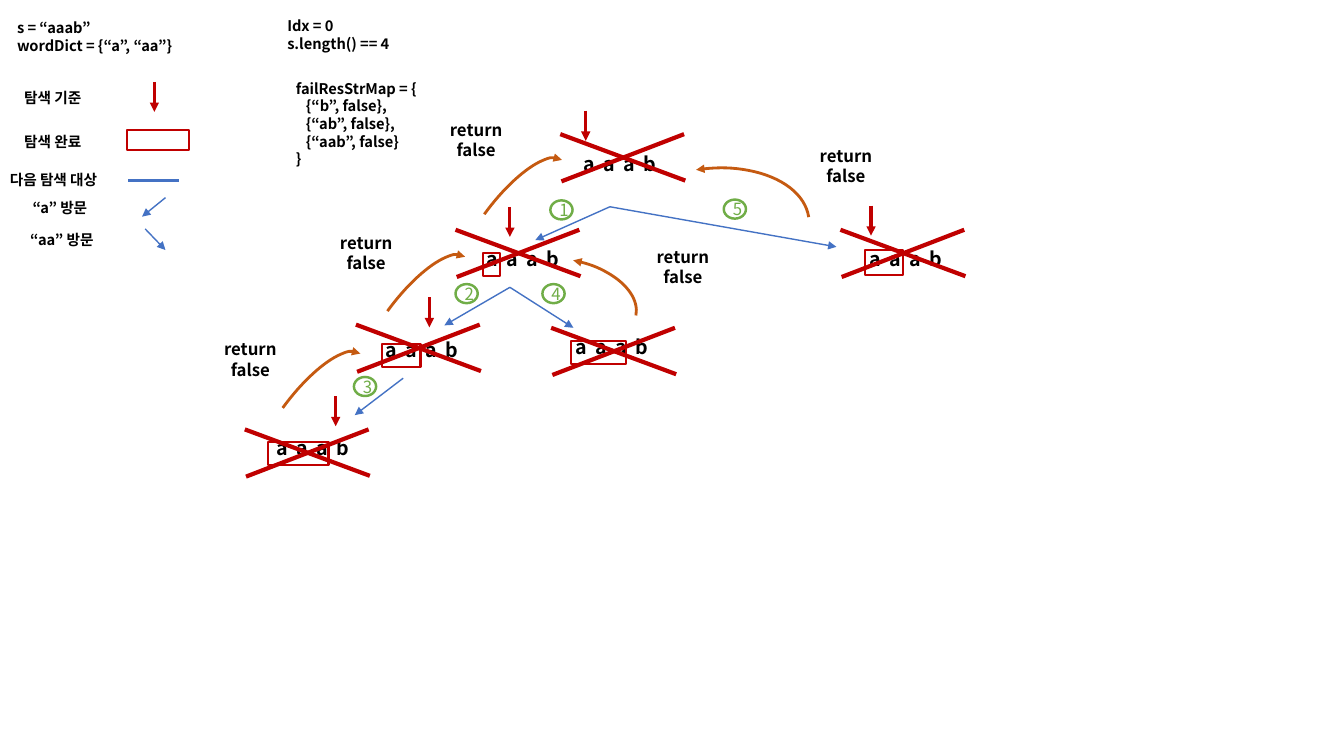
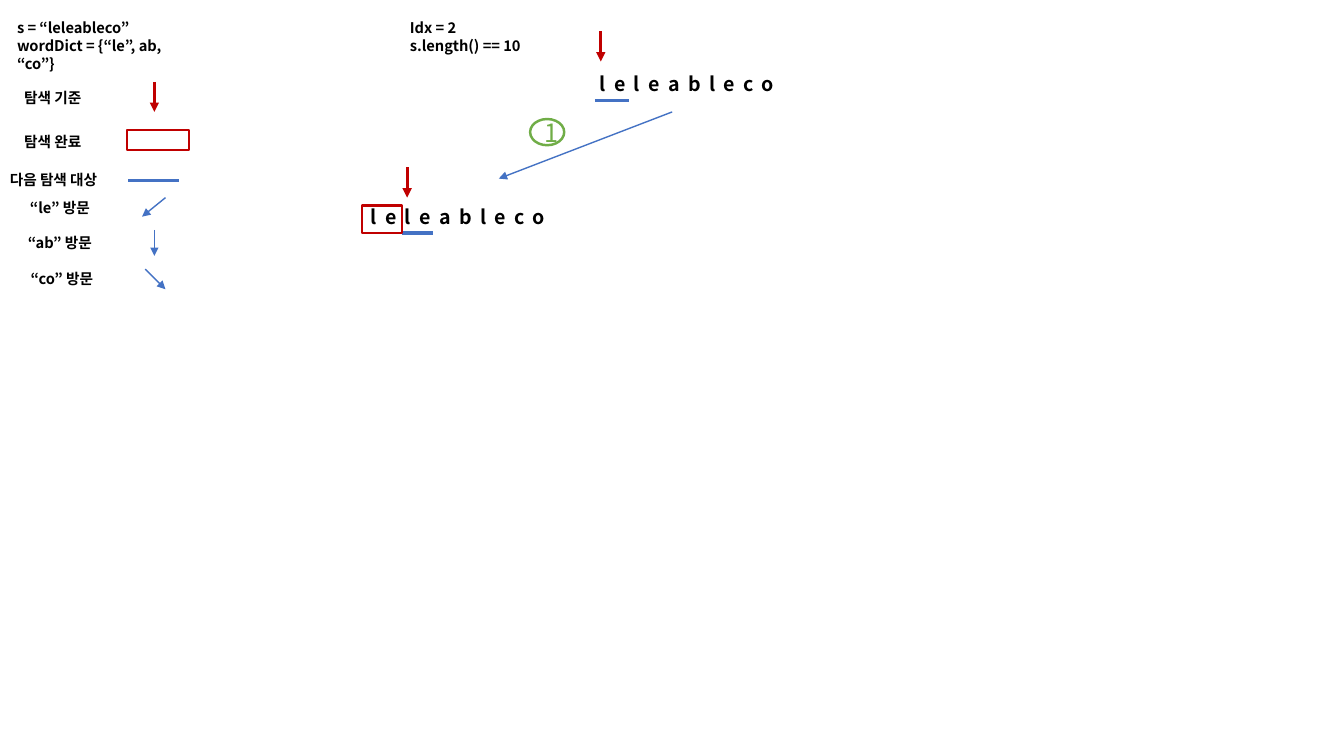
from lxml import etree
from pptx import Presentation
from pptx.dml.color import RGBColor
from pptx.enum.shapes import MSO_CONNECTOR, MSO_SHAPE
from pptx.enum.text import MSO_ANCHOR, PP_ALIGN
from pptx.oxml.ns import qn
from pptx.util import Cm, Pt

RECTANGLE, OVAL, ARC = MSO_SHAPE.RECTANGLE, MSO_SHAPE.OVAL, MSO_SHAPE.ARC
STRAIGHT = MSO_CONNECTOR.STRAIGHT
LEFT, CENTER = PP_ALIGN.LEFT, PP_ALIGN.CENTER
TOP, MIDDLE = MSO_ANCHOR.TOP, MSO_ANCHOR.MIDDLE
FONT = "Noto Sans CJK KR"
COLORS = {
    "text": "000000",
    "red": "C00000",
    "blue": "4472C4",
    "green": "70AD47",
    "orange": "C55A11",
    "white": "FFFFFF",
}


def draw(page, area, text="", kind=None, outline=None, width=1.5, size=10.5,
         color="text", bold=True, align=LEFT, anchor=TOP, spacing=0):
    place = [Cm(value) for value in area]
    if kind is None:
        box = page.shapes.add_textbox(*place)
    else:
        box = page.shapes.add_shape(kind, *place)
        box.shadow.inherit = False
        box.fill.background()
        box.line.color.rgb = RGBColor.from_string(COLORS[outline])
        box.line.width = Pt(width)
    if not text:
        return box
    frame = box.text_frame
    frame.word_wrap = True
    frame.vertical_anchor = anchor
    for index, words in enumerate(text.split("\n")):
        para = frame.paragraphs[0] if index == 0 else frame.add_paragraph()
        para.alignment = align
        para.line_spacing = Pt(size * 1.2)
        if words.startswith("\t"):
            properties = para._p.get_or_add_pPr()
            properties.set("marL", str(Cm(0.25)))
            properties.set("indent", "0")
        span = para.add_run()
        span.text = words.lstrip("\t")
        span.font.name = FONT
        span.font.size = Pt(size)
        span.font.bold = bold
        span.font.color.rgb = RGBColor.from_string(COLORS[color])
        format_xml = span._r.get_or_add_rPr()
        etree.SubElement(format_xml, qn("a:ea")).set("typeface", FONT)
        if spacing:
            format_xml.set("spc", str(spacing * 100))
    return box


def connect(page, start, end, color="blue", width=1, arrow=True):
    line = page.shapes.add_connector(STRAIGHT, *[Cm(value) for value in (*start, *end)])
    line.line.color.rgb = RGBColor.from_string(COLORS[color])
    line.line.width = Pt(width)
    if arrow:
        outline = line.line._get_or_add_ln()
        etree.SubElement(outline, qn("a:tailEnd")).set("type", "triangle")
    etree.SubElement(line._element.spPr, qn("a:effectLst"))


STRING = dict(size=14, spacing=6)
NUMBER = dict(kind=OVAL, outline="green", width=1.75, color="green", bold=False,
              align=CENTER, anchor=MIDDLE)
RETURN = dict(kind=RECTANGLE, outline="white", size=12, align=CENTER, anchor=MIDDLE)
POINTER = dict(color="red", width=2.25)
POINTER_LENGTH = 0.76

deck = Presentation()
deck.slide_width, deck.slide_height = Cm(33.87), Cm(19.05)

down_left = ((4.17, 4.98), (3.58, 5.46))
cases = [
    {
        "input": "s = “aaab”\nwordDict = {“a”, “aa”}",
        "state": "Idx = 0\ns.length() == 4",
        "state_at": (6.99, 0.3),
        "visits": [
            ("“a” 방문", (-0.05, 4.88), down_left),
            ("“aa” 방문", (0, 5.69), ((3.66, 5.77), (4.17, 6.3))),
        ],
    },
    {
        "input": "s = “leleableco”\nwordDict = {“le”, ab, “co”}",
        "state": "Idx = 2\ns.length() == 10",
        "state_at": (10.08, 0.36),
        "visits": [
            ("“le” 방문", (-0.05, 4.88), down_left),
            ("“ab” 방문", (-0.05, 5.77), ((3.89, 5.79), (3.89, 6.45))),
            ("“co” 방문", (0, 6.68), ((3.66, 6.78), (4.17, 7.29))),
        ],
    },
]

pages = []
for case in cases:
    page = deck.slides.add_slide(deck.slide_layouts[6])
    pages.append(page)
    draw(page, (0.18, 0.36, 5.11, 1.19), case["input"])
    draw(page, (*case["state_at"], 5.11, 1.14), case["state"])
    for label, left, top in [("탐색 기준", 0.36, 2.11), ("탐색 완료", 0.36, 3.23),
                             ("다음 탐색 대상", 0, 4.17)]:
        draw(page, (left, top, 3.12, 0.71), label)
    connect(page, (3.89, 2.06), (3.89, 2.06 + POINTER_LENGTH), **POINTER)
    draw(page, (3.2, 3.28, 1.57, 0.51), kind=RECTANGLE, outline="red")
    connect(page, (3.23, 4.55), (4.52, 4.55), width=2.25, arrow=False)
    for label, position, ends in case["visits"]:
        draw(page, (*position, 3.12, 0.71), label, align=CENTER)
        connect(page, *ends)

tree_page, string_page = pages

draw(tree_page, (7.21, 1.88, 5.11, 2.49),
     "failResStrMap = {\n\t{“b”, false},\n\t{“ab”, false},\n\t{“aab”, false}\n}")

nodes = [
    dict(text=(14.45, 3.71), cross=(14.12, 3.38), pointer=(14.76, 2.79)),
    dict(text=(12.01, 6.1), cross=(11.48, 5.79), pointer=(12.85, 5.21),
         done=(12.17, 6.38, 0.43, 0.58)),
    dict(text=(9.47, 8.38), cross=(8.97, 8.18), pointer=(10.82, 7.49),
         done=(9.63, 8.66, 0.97, 0.58)),
    dict(text=(6.71, 10.87), cross=(6.17, 10.82), pointer=(8.46, 9.98),
         done=(6.76, 11.13, 1.52, 0.58)),
    dict(text=(14.25, 8.31), cross=(13.89, 8.26), done=(14.4, 8.59, 1.37, 0.58)),
    dict(text=(21.67, 6.1), cross=(21.18, 5.79), pointer=(21.95, 5.18),
         done=(21.79, 6.3, 0.97, 0.64)),
]
for node in nodes:
    draw(tree_page, (*node["text"], 2.8, 0.86), "aaab", **STRING)
    if "pointer" in node:
        x, y = node["pointer"]
        connect(tree_page, (x, y), (x, y + POINTER_LENGTH), **POINTER)
    if "done" in node:
        draw(tree_page, node["done"], kind=RECTANGLE, outline="red")
    x, y = node["cross"]
    for start, end in [((x, y), (x + 3.15, y + 1.17)), ((x + 0.03, y + 1.19), (x + 3.12, y))]:
        connect(tree_page, start, end, color="red", width=3, arrow=False)

steps = [
    ((15.37, 5.21), (13.49, 6.05), (13.87, 5.05)),
    ((12.85, 7.24), (11.2, 8.2), (11.48, 7.16)),
    ((10.16, 9.53), (8.94, 10.46), (8.92, 9.5)),
    ((12.85, 7.24), (14.45, 8.26), (13.67, 7.16)),
    ((15.37, 5.21), (21.08, 6.22), (18.24, 5.03)),
]
for number, (start, end, circle) in enumerate(steps, 1):
    connect(tree_page, start, end)
    draw(tree_page, (*circle, 0.56, 0.48), str(number), size=12, **NUMBER)

returns = [
    ((5.49, 9.96, 4.52, 1.55), 126.1, ("flipH", "flipV"), (4.9, 8.66)),
    ((8.13, 7.52, 4.52, 1.55), 126.1, ("flipH", "flipV"), (7.82, 5.97)),
    ((10.57, 5.08, 4.52, 1.55), 126.1, ("flipH", "flipV"), (10.59, 3.12)),
    ((13.18, 5.79, 2.13, 3.63), 100.9, ("flipH",), (15.8, 6.32)),
    ((16.18, 3.23, 3.2, 5.26), 81.5, ("flipH",), (19.91, 3.78)),
]
for area, angle, flips, label_at in returns:
    arc = draw(tree_page, area, kind=ARC, outline="orange", width=2)
    arc.rotation = angle
    for flip in flips:
        arc._element.spPr.find(qn("a:xfrm")).set(flip, "1")
    etree.SubElement(arc.line._get_or_add_ln(), qn("a:tailEnd")).set("type", "triangle")
    draw(tree_page, (*label_at, 2.82, 0.79), "return false", **RETURN)

for text_at, pointer, underline in [
    ((14.86, 1.68), (15.14, 0.79), ((14.99, 2.54), (15.85, 2.54))),
    ((9.09, 5.05), (10.26, 4.22), ((10.13, 5.87), (10.9, 5.87))),
]:
    draw(string_page, (*text_at, 5.56, 0.86), "leleableco", **STRING)
    x, y = pointer
    connect(string_page, (x, y), (x, y + POINTER_LENGTH), **POINTER)
    connect(string_page, *underline, width=2.25, arrow=False)
draw(string_page, (9.12, 5.18, 1.02, 0.69), kind=RECTANGLE, outline="red")
connect(string_page, (16.94, 2.82), (12.57, 4.5))
draw(string_page, (13.36, 3, 0.86, 0.66), "1", size=18, **NUMBER)

deck.save("out.pptx")
